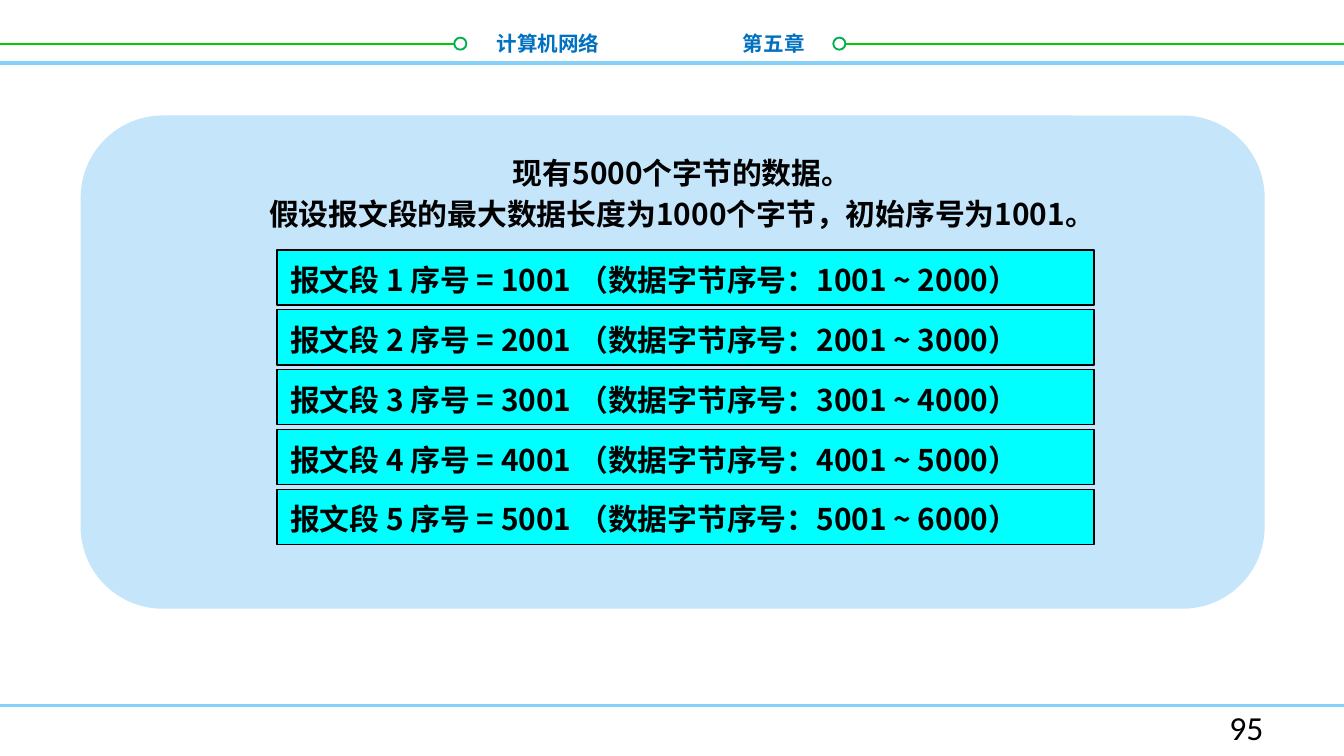
from lxml import etree
from pptx import Presentation
from pptx.dml.color import RGBColor
from pptx.enum.shapes import MSO_CONNECTOR, MSO_SHAPE
from pptx.enum.text import MSO_ANCHOR, PP_ALIGN
from pptx.oxml.ns import qn
from pptx.util import Inches, Pt

BLACK = RGBColor(0x00, 0x00, 0x00)
WHITE = RGBColor(0xFF, 0xFF, 0xFF)
SKY = RGBColor(0x85, 0xD1, 0xF7)
GREEN = RGBColor(0x00, 0xCC, 0x00)
DARK_GREEN = RGBColor(0x00, 0xB0, 0x50)
BLUE = RGBColor(0x00, 0x70, 0xC0)
PALE_BLUE = RGBColor(0xC5, 0xE5, 0xFB)
CYAN = RGBColor(0x00, 0xFF, 0xFF)

LEFT, CENTER, RIGHT = PP_ALIGN.LEFT, PP_ALIGN.CENTER, PP_ALIGN.RIGHT
TOP = MSO_ANCHOR.TOP
STRAIGHT = MSO_CONNECTOR.STRAIGHT
RECTANGLE = MSO_SHAPE.RECTANGLE
ROUNDED = MSO_SHAPE.ROUNDED_RECTANGLE
OVAL = MSO_SHAPE.OVAL

CHINESE_FONT = "Noto Sans CJK SC"
HEADER = {"name": CHINESE_FONT, "size": Pt(11), "bold": True}
BODY = {"name": CHINESE_FONT, "size": Pt(16), "bold": True}
PAGE_NUMBER = {"name": "Calibri", "size": Pt(18), "bold": False}

SLIDE_WIDTH = 10
SLIDE_HEIGHT = SLIDE_WIDTH * 9 / 16
SEGMENT_COUNT = 5
SEGMENT_SIZE = 1000
FIRST_NUMBER = 1001
FIRST_ROW_TOP, LAST_ROW_TOP = 1.86, 3.64
ROW_PITCH = (LAST_ROW_TOP - FIRST_ROW_TOP) / (SEGMENT_COUNT - 1)


def add_rule(slide, start, end, y, color, width):
    rule = slide.shapes.add_connector(
        STRAIGHT, Inches(start), Inches(y), Inches(end), Inches(y))
    rule.line.color.rgb = color
    rule.line.width = Pt(width)
    etree.SubElement(rule._element.spPr, qn("a:effectLst"))


def add_block(slide, kind, box, fill, line=None, width=1):
    shape = slide.shapes.add_shape(kind, *map(Inches, box))
    shape.shadow.inherit = False
    shape.fill.solid()
    shape.fill.fore_color.rgb = fill
    if line is None:
        shape.line.fill.background()
    else:
        shape.line.color.rgb = line
        shape.line.width = Pt(width)
    return shape


def write_text(shape, lines, style, color=BLACK, align=LEFT, spacing=None,
               wrap=True):
    frame = shape.text_frame
    frame.word_wrap = wrap
    frame.vertical_anchor = TOP
    for index, line in enumerate(lines):
        paragraph = frame.paragraphs[0] if index == 0 else frame.add_paragraph()
        paragraph.alignment = align
        paragraph.line_spacing = spacing
        run = paragraph.add_run()
        run.text = line
        for attribute, value in style.items():
            setattr(run.font, attribute, value)
        run.font.color.rgb = color
        east_asian = etree.SubElement(run._r.get_or_add_rPr(), qn("a:ea"))
        east_asian.set("typeface", style["name"])


def add_text(slide, box, lines, style, **options):
    text_box = slide.shapes.add_textbox(*map(Inches, box))
    write_text(text_box, lines, style, **options)


def add_header(slide):
    add_rule(slide, 0, SLIDE_WIDTH, 0.47, SKY, 2)
    add_text(slide, (5.43, 0.18, 1.16, 0.29), ["第五章"], HEADER, color=BLUE)
    add_text(slide, (3.59, 0.18, 0.97, 0.29), ["计算机网络"], HEADER,
             color=BLUE, align=RIGHT, wrap=False)
    for start, end, dot_left in ((0, 3.4, 3.38), (6.2, SLIDE_WIDTH, 6.2)):
        add_rule(slide, start, end, 0.33, GREEN, 1)
        add_block(slide, OVAL, (dot_left, 0.28, 0.09, 0.09), WHITE, DARK_GREEN)


def add_segment(slide, index):
    first = FIRST_NUMBER + index * SEGMENT_SIZE
    last = first + SEGMENT_SIZE - 1
    row = add_block(slide, RECTANGLE,
                    (2.06, FIRST_ROW_TOP + index * ROW_PITCH, 6.08, 0.41),
                    CYAN, BLACK, 0.75)
    label = f"报文段 {index + 1} 序号 = {first} （数据字节序号：{first} ~ {last}）"
    write_text(row, [label], BODY, spacing=Pt(22))


def add_footer(slide):
    add_rule(slide, 0, SLIDE_WIDTH, 5.25, SKY, 1.5)
    add_text(slide, (7.17, 5.21, 2.33, 0.3), ["95"], PAGE_NUMBER, align=RIGHT)


def main():
    presentation = Presentation()
    presentation.slide_width = Inches(SLIDE_WIDTH)
    presentation.slide_height = Inches(SLIDE_HEIGHT)
    slide = presentation.slides.add_slide(presentation.slide_layouts[6])

    add_header(slide)
    add_block(slide, ROUNDED, (0.6, 0.86, 8.81, 3.67), PALE_BLUE)
    add_text(slide, (1.55, 1.06, 7.05, 0.72),
             ["现有5000个字节的数据。",
              "假设报文段的最大数据长度为1000个字节，初始序号为1001。"],
             BODY, align=CENTER, spacing=Pt(22))
    for index in range(SEGMENT_COUNT):
        add_segment(slide, index)
    add_footer(slide)
    presentation.save("out.pptx")


if __name__ == "__main__":
    main()
